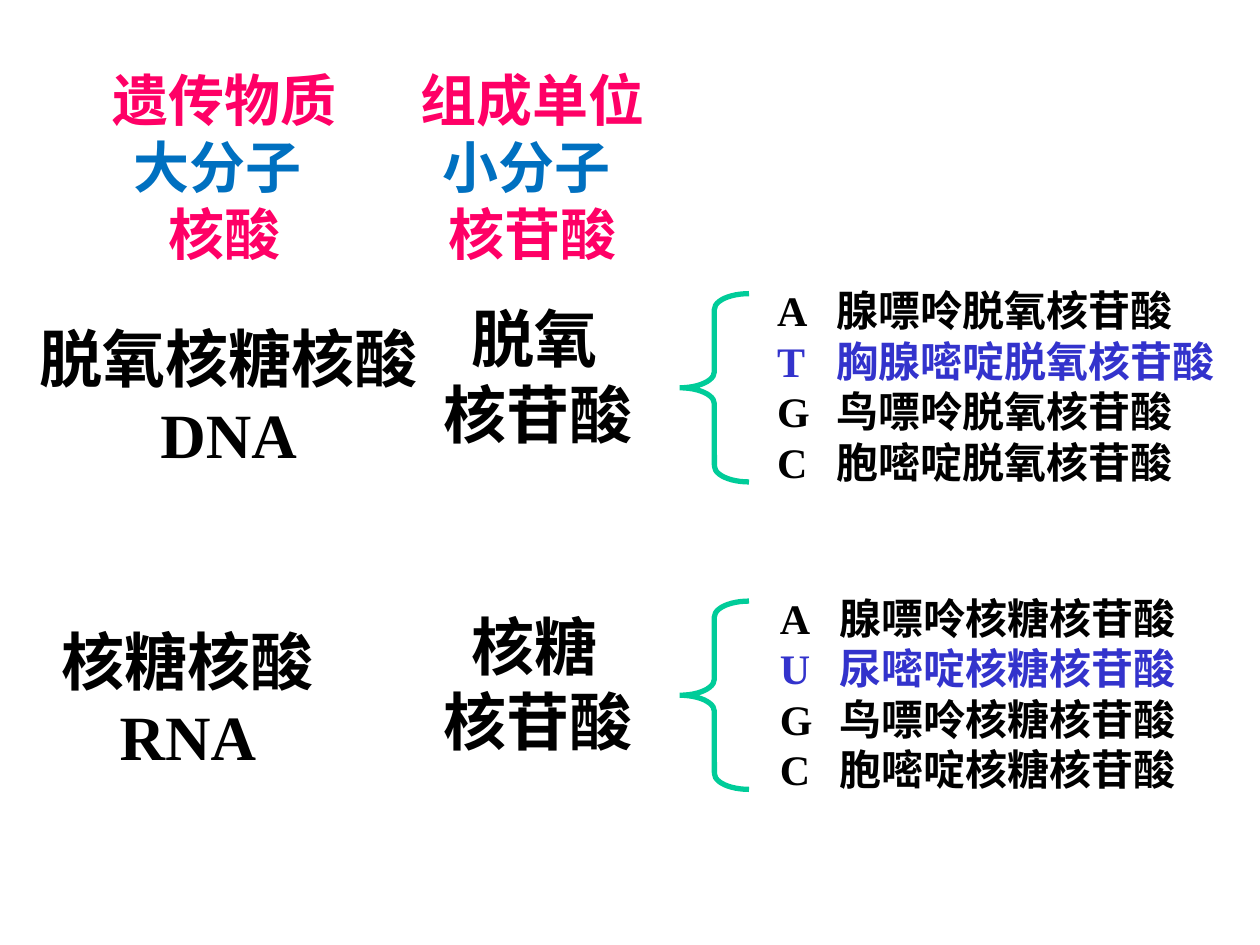
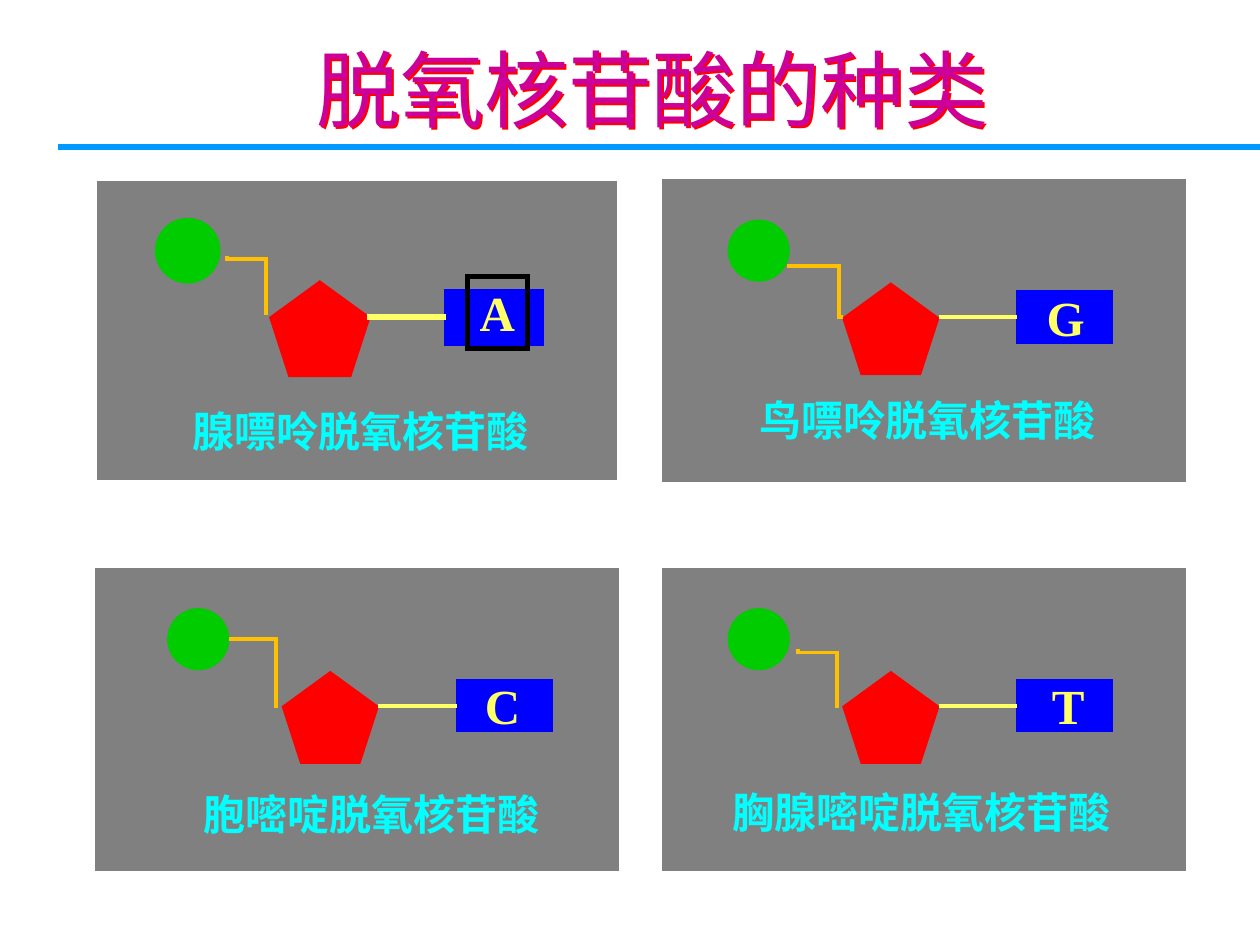
from lxml.etree import SubElement
from pptx import Presentation
from pptx.dml.color import RGBColor
from pptx.enum.shapes import MSO_CONNECTOR as Connector, MSO_SHAPE as Shape
from pptx.enum.text import PP_ALIGN as Align
from pptx.oxml.ns import qn
from pptx.util import Pt

COLORS = {
    "pink": "FF0066", "sky": "0070C0", "black": "000000", "indigo": "3333CC",
    "brace": "00CC99", "panel": "808080", "white": "FFFFFF", "sugar": "FF0000",
    "base": "0000FF", "phosphate": "00CC00", "bond": "FFFF66", "elbow": "FFC000",
    "caption": "00FFFF", "title": "CC0099", "title shadow": "FF0000", "rule": "0099FF",
}
LATIN, CHINESE = "Times New Roman", "Noto Sans CJK SC"

# Headings: left, width, lines
HEADINGS = [
    (50.4, 155.5, ["遗传物质", "大分子", "核酸"]),
    (230.4, 147.6, ["组成单位", "小分子", "核苷酸"]),
]
HEADING_COLORS = ["pink", "sky", "pink"]

# Acid (text, left, top, width), unit lines, unit top, nucleotides, their left
ACIDS = [
    (("脱氧核糖核酸DNA", 14.4, 179.3, 232.6), "脱氧\v核苷酸", 167.8,
     [("A", "腺嘌呤脱氧核苷酸"), ("T", "胸腺嘧啶脱氧核苷酸"),
      ("G", "鸟嘌呤脱氧核苷酸"), ("C", "胞嘧啶脱氧核苷酸")], 437),
    (("核糖核酸RNA", 25.2, 352.1, 164.2), "核糖\v核苷酸", 343.5,
     [("A", "腺嘌呤核糖核苷酸"), ("U", "尿嘧啶核糖核苷酸"),
      ("G", "鸟嘌呤核糖核苷酸"), ("C", "胞嘧啶核糖核苷酸")], 438.5),
]

TITLE = "脱氧核苷酸的种类"
VHV = {"prst": "bentConnector3", "adj": 6000, "rot": "16200000", "flipH": "1"}
HVH = {"prst": "bentConnector3", "adj": 93100}
HV = {"prst": "bentConnector2"}
# One per panel, row by row; places are measured from the panel's corner
NUCLEOTIDES = [
    {"base": "A", "name": "腺嘌呤脱氧核苷酸", "molecule": 36, "outline": 3, "bond": 3,
     "letter": (213, 56, 34.6), "caption": (49, 126),
     "elbow": (69.8, 49.8, 33.8, 22.3), "route": VHV},
    {"base": "G", "name": "鸟嘌呤脱氧核苷酸", "molecule": 38.3, "outline": 1, "bond": 2.25,
     "letter": (213, 58.5, 36), "caption": (49, 120),
     "elbow": (72, 49.8, 31.7, 29.5), "route": HVH},
    {"base": "C", "name": "胞嘧啶脱氧核苷酸", "molecule": 42, "outline": 1, "bond": 2.25,
     "letter": (216, 58.5, 36), "caption": (55.4, 123),
     "elbow": (77, 41, 26.6, 39.6), "route": HV},
    {"base": "T", "name": "胸腺嘧啶脱氧核苷酸", "molecule": 38.3, "outline": 1, "bond": 2.25,
     "letter": (216, 58.5, 33), "caption": (33.5, 122),
     "elbow": (72, 52.6, 33.8, 22.3), "route": VHV},
]
PANEL_LEFT, PANEL_TOP, PANEL_STEP_X, PANEL_STEP_Y = 54, 102, 324, 222
PANEL_WIDTH, PANEL_HEIGHT = 300, 174
CAPTION_WIDTH = 240


def color(name):
    return RGBColor.from_string(COLORS[name])


def points(*lengths):
    return [Pt(length) for length in lengths]


def add_text(slide, box, lines, size, bold=True, wrap=True, align=Align.LEFT,
             indent=0, tab=None, latin=LATIN):
    """Add a text box; lines holds (text, colour, right margin) tuples."""
    shape = slide.shapes.add_textbox(*points(*box))
    frame = shape.text_frame
    frame.word_wrap = wrap
    for index, (text, color_name, right) in enumerate(lines):
        paragraph = frame.paragraphs[0] if index == 0 else frame.add_paragraph()
        paragraph.text = text
        paragraph.alignment = align
        properties = paragraph._p.get_or_add_pPr()
        properties.set("marR", str(Pt(right)))
        if indent:
            properties.set("indent", str(Pt(indent)))
        if tab:
            stops = SubElement(properties, qn("a:tabLst"))
            SubElement(stops, qn("a:tab"), pos=str(Pt(tab)), algn="l")
        font = paragraph.font
        font.size, font.bold, font.name = Pt(size), bold, latin
        font.color.rgb = color(color_name)
        SubElement(properties.find(qn("a:defRPr")), qn("a:ea"), typeface=CHINESE)
    return shape


def set_outline(shape, color_name, width):
    """Draw a solid outline with sharp corners."""
    shape.line.color.rgb = color(color_name)
    shape.line.width = Pt(width)
    SubElement(shape._element.spPr.find(qn("a:ln")), qn("a:miter"), lim="800000")


def add_shape(slide, kind, box, fill, outline, width):
    shape = slide.shapes.add_shape(kind, *points(*box))
    shape.shadow.inherit = False
    if fill:
        shape.fill.solid()
        shape.fill.fore_color.rgb = color(fill)
    else:
        shape.fill.background()
    set_outline(shape, outline, width)
    return shape


def add_line(slide, start, end, color_name, width, kind=Connector.STRAIGHT):
    line = slide.shapes.add_connector(kind, *points(*start, *end))
    set_outline(line, color_name, width)
    SubElement(line._element.spPr, qn("a:effectLst"))
    return line


def add_elbow(slide, box, route):
    left, top, width, height = box
    line = add_line(slide, (left, top), (left + width, top + height), "elbow", 2.25,
                    Connector.ELBOW)
    properties = line._element.spPr
    for key in ("rot", "flipH"):
        if key in route:
            properties.find(qn("a:xfrm")).set(key, route[key])
    geometry = properties.find(qn("a:prstGeom"))
    geometry.set("prst", route["prst"])
    if "adj" in route:
        SubElement(geometry.find(qn("a:avLst")), qn("a:gd"), name="adj1",
                   fmla=f"val {route['adj']}")


def add_nucleotide(slide, left, top, item):
    def place(x, y, *size):
        return (left + x, top + y, *size)

    x, outline = item["molecule"], item["outline"]
    add_shape(slide, Shape.RECTANGLE, place(0, 0, PANEL_WIDTH, PANEL_HEIGHT),
              "panel", "white", outline)
    add_shape(slide, Shape.REGULAR_PENTAGON, place(x + 65.5, 60, 54.5, 52),
              "sugar", "sugar", outline)
    base = add_shape(slide, Shape.RECTANGLE, place(x + 165, 64.4, 54.5, 29.6),
                     "base", "base", outline)
    add_shape(slide, Shape.OVAL, place(x, 24, 34.5, 34.5),
              "phosphate", "phosphate", outline)
    bond = add_line(slide, place(x + 120, 79.2), place(x + 165, 79.2), "bond", item["bond"])
    bond.end_connect(base, 1)
    letter_x, letter_y, letter_width = item["letter"]
    letter = add_text(slide, place(letter_x, letter_y, letter_width, 41),
                      [(item["base"], "bond", 0)], 28, wrap=False)
    if item["base"] == "A":
        set_outline(letter, "black", 3)
    add_text(slide, place(*item["caption"], CAPTION_WIDTH, 36),
             [(item["name"], "caption", 0)], 24)
    add_elbow(slide, place(*item["elbow"]), item["route"])


def build_acids(slide):
    for left, width, texts in HEADINGS:
        lines = list(zip(texts, HEADING_COLORS, [0, 7, 0]))
        add_text(slide, (left, 33.8, width, 122.4), lines, 32,
                 align=Align.CENTER, latin=CHINESE)
    for (acid, left, top, width), unit, unit_top, nucleotides, list_left in ACIDS:
        add_text(slide, (left, top, width, 93.6), [(acid, "black", 0)], 36,
                 align=Align.CENTER)
        add_text(slide, (246.6, unit_top, 136, 93.6), [(unit, "black", 0)], 36, indent=16)
        lines = [(f"{letter}\t{name}", "indigo" if letter in "TU" else "black", 0)
                 for letter, name in nucleotides]
        add_text(slide, (list_left, unit_top - 8.5, 276, 122.4), lines, 24, tab=34)
        brace = add_shape(slide, Shape.LEFT_BRACE, (388.4, unit_top, 39.6, 107.6),
                          None, "brace", 3)
        brace.adjustments[0] = 0.23


def build_kinds(slide):
    for index, item in enumerate(NUCLEOTIDES):
        row, column = divmod(index, 2)
        add_nucleotide(slide, PANEL_LEFT + column * PANEL_STEP_X,
                       PANEL_TOP + row * PANEL_STEP_Y, item)
    title = add_text(slide, (174, 18, 407, 64.8), [(TITLE, "title", 0)], 48, bold=False)
    effects = SubElement(title._element.spPr, qn("a:effectLst"))
    shadow = SubElement(effects, qn("a:outerShdw"), dist=str(Pt(1.6)), dir="2700000",
                        algn="ctr", rotWithShape="0")
    SubElement(shadow, qn("a:srgbClr"), val=COLORS["title shadow"])
    add_line(slide, (33, 84), (720, 84), "rule", 3)


def main():
    presentation = Presentation()
    presentation.slide_width, presentation.slide_height = points(720, 540)
    for build in (build_acids, build_kinds):
        build(presentation.slides.add_slide(presentation.slide_layouts[6]))
    presentation.save("out.pptx")


if __name__ == "__main__":
    main()
